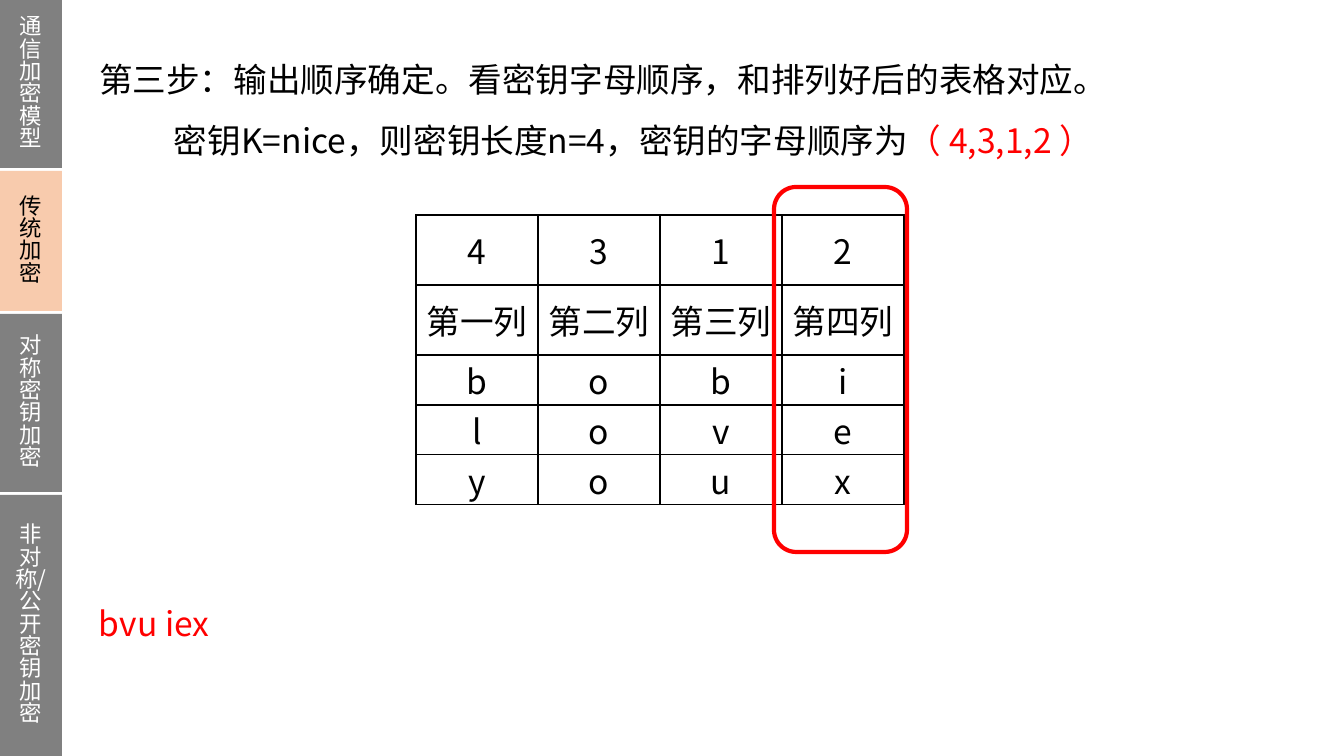
from dataclasses import dataclass

from lxml.etree import SubElement
from pptx import Presentation
from pptx.dml.color import RGBColor
from pptx.enum.shapes import MSO_SHAPE as Shape
from pptx.enum.text import MSO_ANCHOR as Anchor, MSO_AUTO_SIZE as AutoSize, PP_ALIGN as Align
from pptx.oxml import parse_xml
from pptx.oxml.ns import nsdecls, qn
from pptx.util import Pt

PX = 12192000 / 1344


@dataclass(frozen=True)
class Theme:
    font: str = "Noto Sans CJK SC"
    text: str = "000000"
    accent: str = "FF0000"
    tab: str = "808080"
    tab_text: str = "FFFFFF"
    active_tab: str = "F8CBAD"
    body_size: int = 24
    tab_size: int = 16
    line_pitch: float = 43.5


class SlideBuilder:
    """Draws styled elements on one slide, with lengths given in px."""

    def __init__(self, slide, theme):
        self.slide = slide
        self.theme = theme

    def emu(self, *lengths):
        return [round(length * PX) for length in lengths]

    def style(self, paragraph, size, color, align=Align.LEFT):
        paragraph.alignment = align
        font = paragraph.font
        font.size = Pt(size)
        font.bold = False
        font.name = self.theme.font
        font.color.rgb = RGBColor.from_string(color)
        defaults = paragraph._p.get_or_add_pPr().find(qn("a:defRPr"))
        SubElement(defaults, qn("a:ea"), typeface=self.theme.font)

    def line(self, shape, box, text, color, indent=0, ending=""):
        shape.left, shape.top, shape.width, shape.height = self.emu(*box)
        frame = shape.text_frame
        frame.word_wrap = True
        frame.auto_size = AutoSize.NONE
        frame.vertical_anchor = Anchor.TOP
        frame.margin_left = frame.margin_right = frame.margin_top = frame.margin_bottom = 0
        paragraph = frame.paragraphs[0]
        paragraph.line_spacing = Pt(self.theme.line_pitch)
        paragraph.space_before = Pt(0)
        paragraph._p.get_or_add_pPr().set("indent", str(*self.emu(indent)))
        paragraph.add_run().text = text
        if ending:
            run = paragraph.add_run()
            run.text = ending
            run.font.color.rgb = RGBColor.from_string(self.theme.accent)
        self.style(paragraph, self.theme.body_size, color)

    def title(self, box, text):
        self.line(self.slide.shapes.title, box, text, self.theme.text)

    def text(self, box, text, color, indent=0, ending=""):
        shape = self.slide.shapes.add_textbox(*self.emu(*box))
        self.line(shape, box, text, color, indent, ending)

    def tab(self, box, text, active):
        shape = self.slide.shapes.add_shape(Shape.RECTANGLE, *self.emu(*box))
        shape.shadow.inherit = False
        shape.line.fill.background()
        shape.fill.solid()
        fill = self.theme.active_tab if active else self.theme.tab
        shape.fill.fore_color.rgb = RGBColor.from_string(fill)
        frame = shape.text_frame
        frame.word_wrap = True
        frame.vertical_anchor = Anchor.MIDDLE
        paragraph = frame.paragraphs[0]
        paragraph.text = text
        paragraph.line_spacing = Pt(self.theme.tab_size)
        color = self.theme.text if active else self.theme.tab_text
        self.style(paragraph, self.theme.tab_size, color, Align.CENTER)

    def table(self, left, top, column_width, row_heights, rows):
        columns = len(rows[0])
        box = self.emu(left, top, column_width * columns, sum(row_heights))
        table = self.slide.shapes.add_table(len(rows), columns, *box).table
        table.first_row = table.horz_banding = False
        for column in table.columns:
            column.width = self.emu(column_width)[0]
        for row, height, values in zip(table.rows, row_heights, rows):
            row.height = self.emu(height)[0]
            for cell, value in zip(row.cells, values):
                self.cell(cell, value)

    def cell(self, cell, value):
        cell.fill.background()
        cell.vertical_anchor = Anchor.MIDDLE
        cell.margin_top = cell.margin_bottom = 0
        properties = cell._tc.get_or_add_tcPr()
        for position, side in enumerate("LRTB"):
            properties.insert(position, parse_xml(
                f'<a:ln{side} {nsdecls("a")} w="12700"><a:solidFill>'
                f'<a:srgbClr val="{self.theme.text}"/></a:solidFill></a:ln{side}>'))
        paragraph = cell.text_frame.paragraphs[0]
        paragraph.text = value
        self.style(paragraph, self.theme.body_size, self.theme.text, Align.CENTER)

    def highlight(self, box):
        shape = self.slide.shapes.add_shape(Shape.ROUNDED_RECTANGLE, *self.emu(*box))
        shape.shadow.inherit = False
        shape.fill.background()
        shape.line.width = Pt(3)
        shape.line.color.rgb = RGBColor.from_string(self.theme.accent)


def main():
    presentation = Presentation()
    presentation.slide_width, presentation.slide_height = 12192000, 6858000
    slide = presentation.slides.add_slide(presentation.slide_layouts[5])
    theme = Theme()
    builder = SlideBuilder(slide, theme)

    builder.title((99, 38, 1123, 61), "第三步：输出顺序确定。看密钥字母顺序，和排列好后的表格对应。")
    builder.text((99, 99, 1123, 61), "密钥K=nice，则密钥长度n=4，密钥的字母顺序为",
                 theme.text, indent=75, ending="（ 4,3,1,2 ）")
    builder.text((99, 582, 1123, 61), "bvu iex", theme.accent)

    tabs = [("通信加密模型", 168), ("传统加密", 140),
            ("对称密钥加密", 178), ("非对称/公开密钥加密", 261)]
    top = 0
    for name, height in tabs:
        builder.tab((0, top, 62, height), name, name == "传统加密")
        top += height + 3

    rows = ["4312", ["第一列", "第二列", "第三列", "第四列"], "bobi", "love", "youx"]
    builder.table(416, 215, 122, [70, 70, 50, 50, 50], rows)
    builder.highlight((774, 187, 133, 365))
    presentation.save("out.pptx")


if __name__ == "__main__":
    main()
